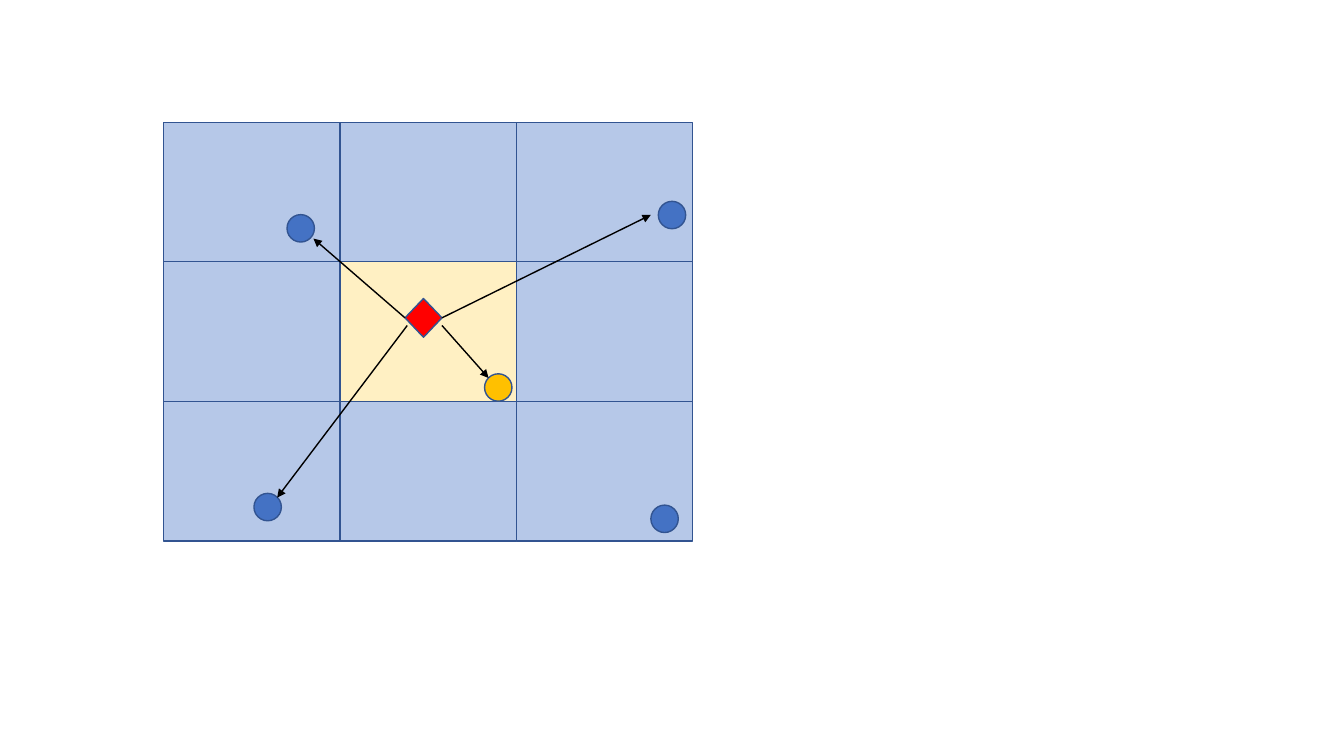
from itertools import product

from lxml.etree import SubElement
from pptx import Presentation
from pptx.dml.color import RGBColor
from pptx.enum.shapes import MSO_CONNECTOR as LINE, MSO_SHAPE as SHAPE
from pptx.oxml.ns import qn
from pptx.util import Pt

BLUE = RGBColor(0x44, 0x72, 0xC4)
OUTLINE = RGBColor(0x32, 0x54, 0x91)
PALE_YELLOW = RGBColor(0xFF, 0xD9, 0x66)
AMBER = RGBColor(0xFF, 0xC0, 0x00)
RED = RGBColor(0xFF, 0x00, 0x00)
BLACK = RGBColor(0x00, 0x00, 0x00)

GRID_LEFT, GRID_TOP = 116.8, 87.3
CELL_WIDTH, CELL_HEIGHT = 126, 99.7
CELL_OPACITY = 39
DOT_SIZE = 19.6
BLUE_DOTS = [(205, 153.3), (181.4, 352.4), (470.2, 143.8), (464.9, 360.8)]
AMBER_DOT = (346.1, 267)


def add_figure(slide, kind, left, top, width, height, color):
    """Add an outlined, filled preset shape."""
    figure = slide.shapes.add_shape(kind, Pt(left), Pt(top), Pt(width), Pt(height))
    figure.shadow.inherit = False
    figure.fill.solid()
    figure.fill.fore_color.rgb = color
    figure.line.color.rgb = OUTLINE
    figure.line.width = Pt(1)
    return figure


def add_cell(slide, row, column):
    """Add one translucent grid cell, with the centre highlighted."""
    color = PALE_YELLOW if (row, column) == (1, 1) else BLUE
    cell = add_figure(slide, SHAPE.RECTANGLE,
                      GRID_LEFT + column * CELL_WIDTH, GRID_TOP + row * CELL_HEIGHT,
                      CELL_WIDTH, CELL_HEIGHT, color)
    fill_color = cell.fill._xPr.find(qn("a:solidFill"))[0]
    SubElement(fill_color, qn("a:alpha"), val=str(CELL_OPACITY * 1000))


def add_dot(slide, left, top, color):
    """Add a round point."""
    add_figure(slide, SHAPE.OVAL, left, top, DOT_SIZE, DOT_SIZE, color)


def add_arrow(slide, start, end):
    """Add a black arrow pointing at its end."""
    arrow = slide.shapes.add_connector(LINE.STRAIGHT, *map(Pt, start + end))
    arrow.line.color.rgb = BLACK
    arrow.line.width = Pt(1)
    SubElement(arrow.line._get_or_add_ln(), qn("a:tailEnd"), type="triangle")
    SubElement(arrow._element.spPr, qn("a:effectLst"))
    return arrow


def main():
    """Build the slide with the neighbour search grid."""
    deck = Presentation()
    deck.slide_width, deck.slide_height = Pt(960), Pt(540)
    slide = deck.slides.add_slide(deck.slide_layouts[6])

    for row, column in product(range(3), repeat=2):
        add_cell(slide, row, column)
    for left, top in BLUE_DOTS:
        add_dot(slide, left, top, BLUE)
    add_dot(slide, *AMBER_DOT, AMBER)
    query = add_figure(slide, SHAPE.DIAMOND, 289.3, 213.2, 26.4, 27.7, RED)

    to_upper_right = add_arrow(slide, (315.7, 227), (464.9, 153.5))
    to_upper_right.begin_connect(query, 3)
    to_upper_left = add_arrow(slide, (289.3, 227), (223.9, 170.4))
    to_upper_left.begin_connect(query, 1)
    add_arrow(slide, (315.7, 232.5), (349, 270))
    add_arrow(slide, (290.9, 232.5), (198, 355.4))

    deck.save("out.pptx")


if __name__ == "__main__":
    main()
